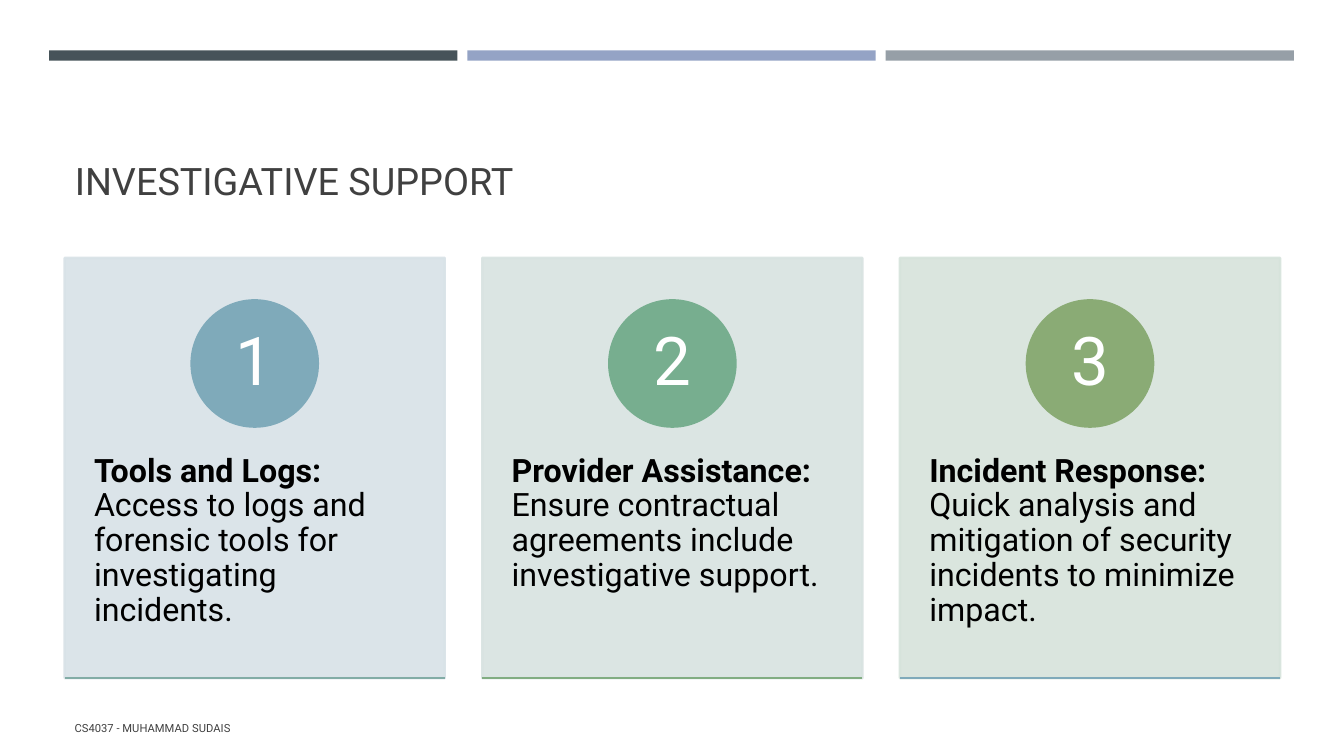
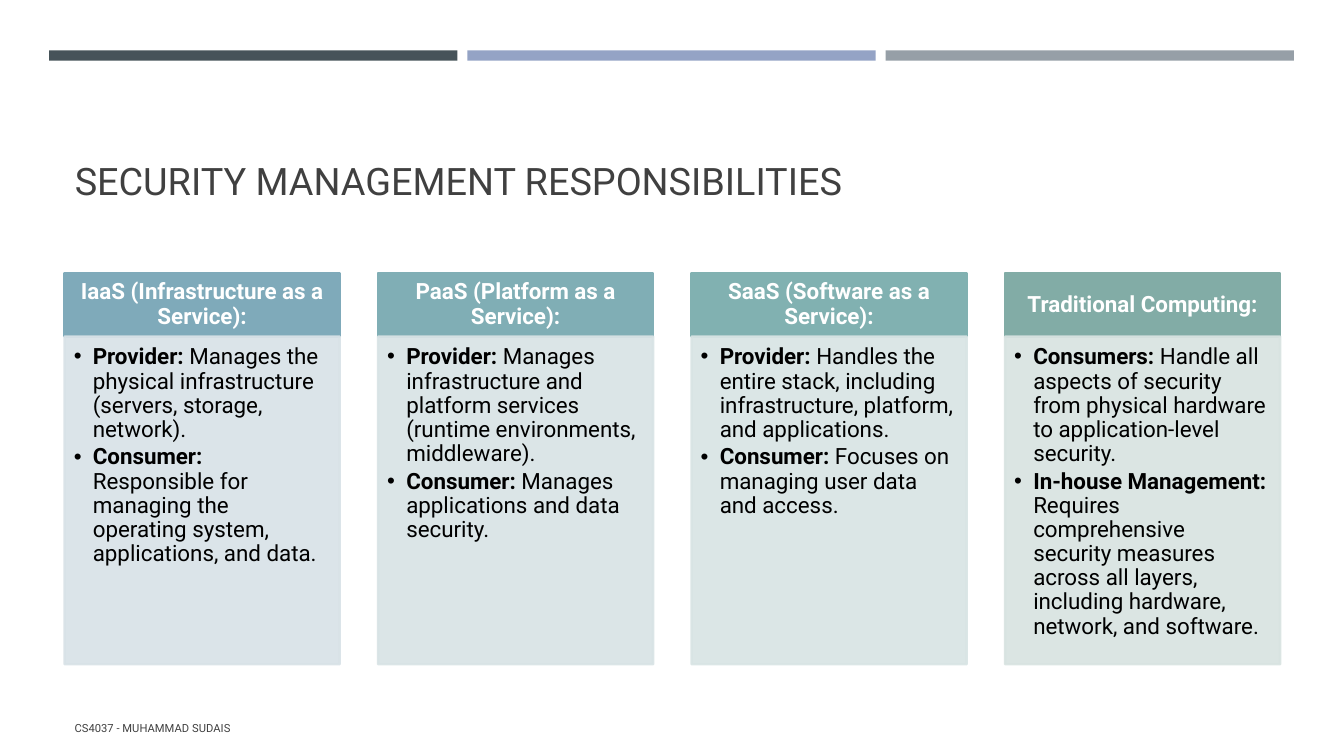
from lxml import etree
from pptx import Presentation
from pptx.dml.color import RGBColor
from pptx.enum import shapes, text
from pptx.oxml import ns
from pptx.util import Cm, Pt

COLORS = {
    "band_dark": "465359", "band_blue": "94A3C5", "band_gray": "969FA7",
    "ink": "404040", "black": "000000", "white": "FFFFFF",
    "blue": "7FAABA", "cyan": "80AEB5", "aqua": "81B1B1", "teal": "82ACA6",
    "green": "77AE8F", "leaf": "81AD82", "olive": "8AAB75",
    "pale_blue": "D8E2E7", "pale_cyan": "D8E3E5", "pale_aqua": "D8E4E4",
    "pale_teal": "D8E3E1", "pale_green": "D6E3DB",
}
FONT = "Roboto"
LEFT, WIDTH = 1.63, 30.63
LINE_WIDTH = 1.75
FOOTER = "CS4037 - MUHAMMAD SUDAIS"


def color(name):
    return RGBColor.from_string(COLORS[name])


def columns(count, width):
    pitch = (WIDTH - width) / (count - 1)
    return [LEFT + index * pitch for index in range(count)]


class Deck:
    def __init__(self):
        self.presentation = Presentation()
        self.presentation.slide_width = Cm(33.87)
        self.presentation.slide_height = Cm(19.05)
        self.slide = None

    def add_slide(self, title):
        layout = self.presentation.slide_layouts[5]
        self.slide = self.presentation.slides.add_slide(layout)
        for index, name in enumerate(("band_dark", "band_blue", "band_gray")):
            self.box(1.24 + index * 10.54, 1.27, 10.29, 0.26, name, outlined=False)
        self.title(title)
        self.footer()

    def title(self, words):
        shape = self.slide.shapes.title
        shape.left, shape.top, shape.width, shape.height = map(Cm, (LEFT, 1.96, WIDTH, 3.3))
        frame = shape.text_frame
        frame.auto_size = text.MSO_AUTO_SIZE.NONE
        frame.vertical_anchor = text.MSO_ANCHOR.BOTTOM
        frame.text = words
        self.style(frame.paragraphs[0], 27, "ink")

    def footer(self):
        shape = self.slide.shapes.add_textbox(Cm(LEFT), Cm(17.86), Cm(19.2), Cm(1.02))
        frame = shape.text_frame
        frame.word_wrap = True
        frame.vertical_anchor = text.MSO_ANCHOR.MIDDLE
        frame.text = FOOTER
        self.style(frame.paragraphs[0], 8, "ink")

    def style(self, paragraph, size, name, align=text.PP_ALIGN.LEFT):
        paragraph.alignment = align
        paragraph.line_spacing = 0.9
        for run in paragraph.runs:
            run.font.name = FONT
            run.font.size = Pt(size)
            run.font.color.rgb = color(name)

    def box(self, left, top, width, height, name, kind=shapes.MSO_SHAPE.RECTANGLE,
            outlined=True, opacity=100):
        shape = self.slide.shapes.add_shape(kind, Cm(left), Cm(top), Cm(width), Cm(height))
        shape.shadow.inherit = False
        shape.fill.solid()
        shape.fill.fore_color.rgb = color(name)
        if outlined:
            shape.line.color.rgb = color(name)
            shape.line.width = Pt(LINE_WIDTH)
        else:
            shape.line.fill.background()
        if opacity < 100:
            for element in shape.element.spPr.iter(ns.qn("a:srgbClr")):
                etree.SubElement(element, ns.qn("a:alpha"), val=str(opacity * 1000))
        return shape

    def label(self, shape, words, size, margins, bold=False):
        frame = self.frame(shape, margins, text.MSO_ANCHOR.MIDDLE)
        frame.text = words
        paragraph = frame.paragraphs[0]
        self.style(paragraph, size, "white", text.PP_ALIGN.CENTER)
        paragraph.runs[0].font.bold = bold

    def frame(self, shape, margins, anchor):
        frame = shape.text_frame
        frame.word_wrap = True
        frame.vertical_anchor = anchor
        (frame.margin_left, frame.margin_top,
         frame.margin_right, frame.margin_bottom) = map(Cm, margins)
        return frame

    def entries(self, shape, items, size, margins, bulleted=False):
        frame = self.frame(shape, margins, text.MSO_ANCHOR.TOP)
        for index, (lead, detail) in enumerate(items):
            paragraph = frame.add_paragraph() if index else frame.paragraphs[0]
            if bulleted:
                self.bullet(paragraph)
            if index:
                paragraph.space_before = Pt(size * 0.15)
            for words, bold in ((lead, True), (" " + detail, False)):
                run = paragraph.add_run()
                run.text = words
                run.font.bold = bold
            self.style(paragraph, size, "black")

    def bullet(self, paragraph):
        properties = paragraph._p.get_or_add_pPr()
        properties.set("marL", str(Cm(0.48)))
        properties.set("indent", str(-Cm(0.48)))
        etree.SubElement(properties, ns.qn("a:buFont"), typeface="Arial")
        etree.SubElement(properties, ns.qn("a:buChar"), char="•")

    def rule(self, left, top, width, name):
        connector = self.slide.shapes.add_connector(
            shapes.MSO_CONNECTOR.STRAIGHT, Cm(left), Cm(top), Cm(left + width), Cm(top))
        connector.line.color.rgb = color(name)
        connector.line.width = Pt(LINE_WIDTH)
        etree.SubElement(connector.element.spPr, ns.qn("a:effectLst"))

    def numbered_cards(self, cards):
        width, top, height, diameter = 9.58, 6.5, 10.59, 3.18
        lefts = columns(len(cards), width)
        for number, (left, card) in enumerate(zip(lefts, cards), start=1):
            lead, detail, pale, strong, edge = card
            panel = self.box(left, top, width, height, pale, opacity=90)
            self.entries(panel, [(lead, detail)], 23, (0.74, 4.95, 0.74, 0.91))
            circle = self.box(left + (width - diameter) / 2, 7.57, diameter, diameter,
                              strong, shapes.MSO_SHAPE.OVAL)
            self.label(circle, str(number), 48, (0, 0, 0, 0))
            self.rule(left, top + height, width, edge)

    def headed_lists(self, lists):
        width, top, head_height = 6.93, 6.88, 1.6
        for left, (heading, strong, pale, items) in zip(columns(len(lists), width), lists):
            head = self.box(left, top, width, head_height, strong)
            self.label(head, heading, 16, (0.3, 0.18, 0.3, 0.18), bold=True)
            panel = self.box(left, top + head_height, width, 8.26, pale, opacity=90)
            self.entries(panel, items, 16, (0.23, 0.23, 0.3, 0.36), bulleted=True)


SUPPORT = [
    ("Tools and Logs:", "Access to logs and forensic tools for investigating incidents.",
     "pale_blue", "blue", "teal"),
    ("Provider Assistance:", "Ensure contractual agreements include investigative support.",
     "pale_teal", "green", "leaf"),
    ("Incident Response:",
     "Quick analysis and mitigation of security incidents to minimize impact.",
     "pale_green", "olive", "blue"),
]
RESPONSIBILITIES = [
    ("IaaS (Infrastructure as a Service):", "blue", "pale_blue", [
        ("Provider:", "Manages the physical infrastructure (servers, storage, network)."),
        ("Consumer:",
         "Responsible for managing the operating system, applications, and data."),
    ]),
    ("PaaS (Platform as a Service):", "cyan", "pale_cyan", [
        ("Provider:",
         "Manages infrastructure and platform services (runtime environments, middleware)."),
        ("Consumer:", "Manages applications and data security."),
    ]),
    ("SaaS (Software as a Service):", "aqua", "pale_aqua", [
        ("Provider:",
         "Handles the entire stack, including infrastructure, platform, and applications."),
        ("Consumer:", "Focuses on managing user data and access."),
    ]),
    ("Traditional Computing:", "teal", "pale_teal", [
        ("Consumers:",
         "Handle all aspects of security from physical hardware to application-level security."),
        ("In-house Management:",
         "Requires comprehensive security measures across all layers, "
         "including hardware, network, and software."),
    ]),
]


def main():
    deck = Deck()
    deck.add_slide("INVESTIGATIVE SUPPORT")
    deck.numbered_cards(SUPPORT)
    deck.add_slide("SECURITY MANAGEMENT RESPONSIBILITIES")
    deck.headed_lists(RESPONSIBILITIES)
    deck.presentation.save("out.pptx")


if __name__ == "__main__":
    main()
